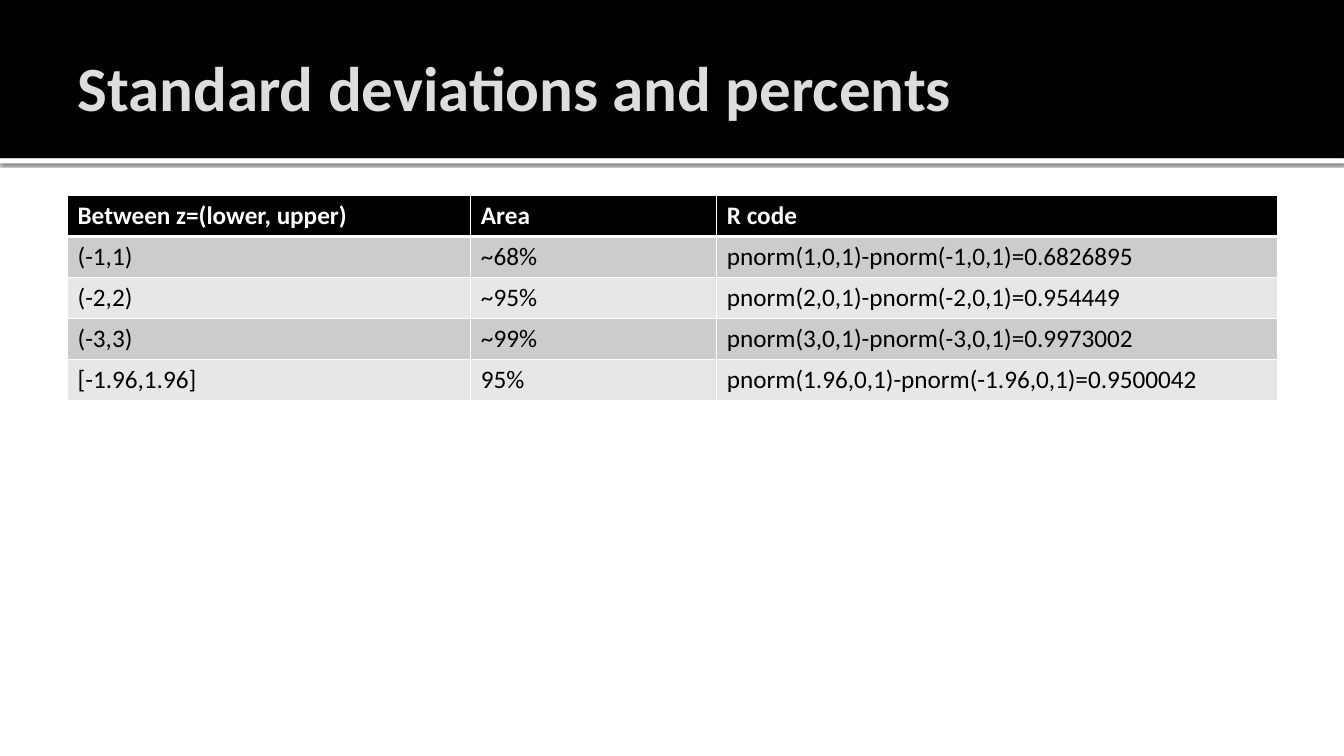
from dataclasses import dataclass

from pptx import Presentation
from pptx.dml.color import RGBColor
from pptx.enum.shapes import MSO_SHAPE as Shape
from pptx.enum.text import MSO_ANCHOR as Anchor, MSO_AUTO_SIZE as Fit, PP_ALIGN as Align
from pptx.oxml import parse_xml
from pptx.oxml.ns import nsdecls
from pptx.util import Inches, Pt


@dataclass(frozen=True)
class Theme:
    font: str = "Calibri"
    black: str = "000000"
    white: str = "FFFFFF"
    title: str = "DDDDDD"
    bands: tuple = ("CCCCCC", "E7E7E7")
    title_size: int = 45
    cell_size: int = 18


THEME = Theme()
WIDTH = 13.33
COLS = (4, 2.44, 5.56)
HEIGHT = 2.03
ROWS = (
    ("Between z=(lower, upper)", "Area", "R code"),
    ("(-1,1)", "~68%", "pnorm(1,0,1)-pnorm(-1,0,1)=0.6826895"),
    ("(-2,2)", "~95%", "pnorm(2,0,1)-pnorm(-2,0,1)=0.954449"),
    ("(-3,3)", "~99%", "pnorm(3,0,1)-pnorm(-3,0,1)=0.9973002"),
    ("[-1.96,1.96]", "95%", "pnorm(1.96,0,1)-pnorm(-1.96,0,1)=0.9500042"),
)


def paint(fill, color):
    fill.solid()
    fill.fore_color.rgb = RGBColor.from_string(color)


def style(para, size, color, bold):
    font = para.font
    font.name = THEME.font
    font.size = Pt(size)
    font.bold = bold
    font.color.rgb = RGBColor.from_string(color)


def add_bar(slide, top, height, color):
    """Add a full-width band without outline or shadow."""
    bar = slide.shapes.add_shape(
        Shape.RECTANGLE, 0, Inches(top), Inches(WIDTH), Inches(height))
    paint(bar.fill, color)
    bar.line.fill.background()
    bar.shadow.inherit = False
    return bar


def cast_shadow(bar):
    """Fill the bar's empty effect list with a soft shadow below it."""
    effects = bar.element.spPr.find("{*}effectLst")
    effects.append(parse_xml(
        f'<a:outerShdw {nsdecls("a")} blurRad="{Pt(2.5)}" dist="{Pt(0.8)}" '
        f'dir="5400000" rotWithShape="0"><a:srgbClr val="{THEME.black}">'
        '<a:alpha val="60000"/></a:srgbClr></a:outerShdw>'))


def set_title(slide, text):
    title = slide.shapes.title
    title.left, title.top = Inches(0.67), Inches(0.17)
    title.width, title.height = Inches(12), Inches(1.37)
    frame = title.text_frame
    frame.text = text
    frame.auto_size = Fit.NONE
    frame.word_wrap = True
    frame.vertical_anchor = Anchor.MIDDLE
    frame.margin_left = Inches(0.1)
    frame.margin_right = frame.margin_top = frame.margin_bottom = Inches(0.05)
    para = frame.paragraphs[0]
    para.alignment = Align.LEFT
    style(para, THEME.title_size, THEME.title, True)
    # Bring the title in front of the bars
    title.element.getparent().append(title.element)


def set_borders(cell, top, bottom):
    props = cell._tc.get_or_add_tcPr()
    for spot, (side, width) in enumerate(
            (("L", 1), ("R", 1), ("T", top), ("B", bottom))):
        props.insert(spot, parse_xml(
            f'<a:ln{side} {nsdecls("a")} w="{Pt(width)}"><a:solidFill>'
            f'<a:srgbClr val="{THEME.white}"/></a:solidFill></a:ln{side}>'))


def add_grid(slide, rows):
    table = slide.shapes.add_table(
        len(rows), len(COLS), Inches(0.67), Inches(1.94),
        Inches(sum(COLS)), Inches(HEIGHT)).table
    for col, width in zip(table.columns, COLS):
        col.width = Inches(width)
    for r, row in enumerate(rows):
        head = r == 0
        back = THEME.black if head else THEME.bands[(r - 1) % 2]
        ink = THEME.white if head else THEME.black
        for c, text in enumerate(row):
            cell = table.cell(r, c)
            cell.text = text
            style(cell.text_frame.paragraphs[0], THEME.cell_size, ink, head)
            paint(cell.fill, back)
            set_borders(cell, 3 if r == 1 else 1, 3 if head else 1)


def main():
    deck = Presentation()
    deck.slide_width, deck.slide_height = Inches(WIDTH), Inches(7.5)
    slide = deck.slides.add_slide(deck.slide_layouts.get_by_name("Title Only"))
    cast_shadow(add_bar(slide, 1.57, 0.05, THEME.white))
    add_bar(slide, 0, 1.57, THEME.black)
    set_title(slide, "Standard deviations and percents")
    add_grid(slide, ROWS)
    deck.save("out.pptx")


if __name__ == "__main__":
    main()
